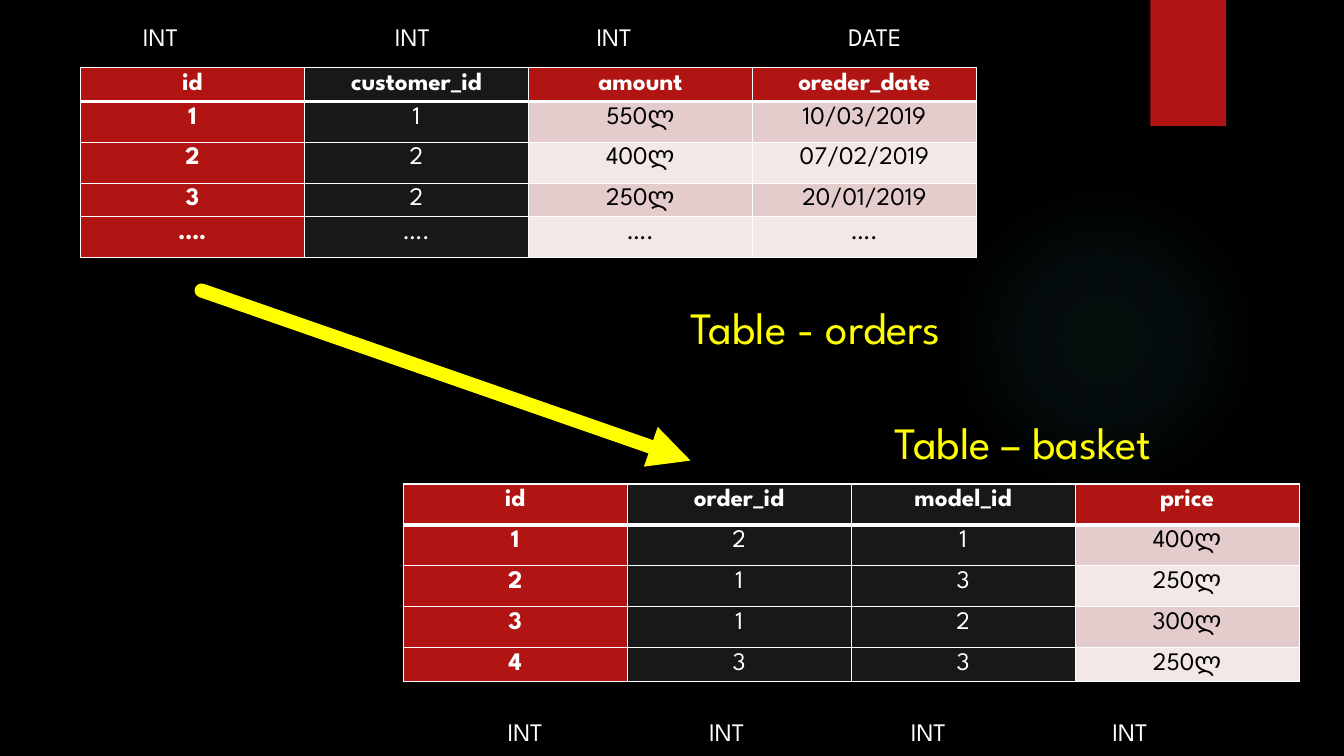
from lxml import etree
from pptx import Presentation
from pptx.dml.color import RGBColor
from pptx.enum.shapes import MSO_CONNECTOR, MSO_SHAPE
from pptx.enum.text import PP_ALIGN
from pptx.oxml import parse_xml
from pptx.oxml.ns import nsdecls, qn
from pptx.util import Pt

COLORS = {
    "background": "000000", "text": "FFFFFF", "dark_text": "000000",
    "accent": "B01513", "key": "181818", "highlight": "FFFF00",
    "odd_band": "E4CCCC", "even_band": "F2E8E7", "glow": "50B9C1",
}
FONT = "League Spartan"
COLUMN_WIDTH = 160
TALL, SHORT = 29.25, 23.9

ORDERS = [
    ["id", "customer_id", "amount", "oreder_date"],
    ["1", "1", "550ლ", "10/03/2019"],
    ["2", "2", "400ლ", "07/02/2019"],
    ["3", "2", "250ლ", "20/01/2019"],
    ["….", "….", "….", "…."],
]
BASKET = [
    ["id", "order_id", "model_id", "price"],
    ["1", "2", "1", "400ლ"],
    ["2", "1", "3", "250ლ"],
    ["3", "1", "2", "300ლ"],
    ["4", "3", "3", "250ლ"],
]


class SlideBuilder:
    def __init__(self, presentation):
        self.slide = presentation.slides.add_slide(presentation.slide_layouts[6])
        fill = self.slide.background.fill
        fill.solid()
        fill.fore_color.rgb = self.color("background")

    def color(self, name):
        return RGBColor.from_string(COLORS[name])

    def add_text_run(self, paragraph, text, color, **formats):
        run = paragraph.add_run()
        run.text = text
        run.font.color.rgb = self.color(color)
        for name, value in ({"name": FONT, "size": Pt(18)} | formats).items():
            setattr(run.font, name, value)

    def shape(self, kind, left, top, width, height, color):
        shape = self.slide.shapes.add_shape(
            kind, Pt(left), Pt(top), Pt(width), Pt(height))
        shape.shadow.inherit = False
        shape.line.fill.background()
        shape.fill.solid()
        shape.fill.fore_color.rgb = self.color(color)
        return shape

    def glow(self, left, top, size):
        shape = self.shape(MSO_SHAPE.OVAL, left, top, size, size, "glow")
        stops = "".join(
            f'<a:gs pos="{position}000"><a:srgbClr val="{COLORS["glow"]}">'
            f'<a:alpha val="{alpha}000"/></a:srgbClr></a:gs>'
            for position, alpha in [(0, 7), (36, 6), (69, 0)])
        gradient = parse_xml(
            f'<a:gradFill {nsdecls("a")}><a:gsLst>{stops}</a:gsLst>'
            '<a:path path="circle"><a:fillToRect l="50000" t="50000" '
            'r="50000" b="50000"/></a:path></a:gradFill>')
        properties = shape._element.spPr
        properties.replace(properties.find(qn("a:solidFill")), gradient)

    def text(self, left, top, width, height, text, color, size=18,
             space_before=0, tabs=()):
        frame = self.slide.shapes.add_textbox(
            Pt(left), Pt(top), Pt(width), Pt(height)).text_frame
        frame.word_wrap = True
        paragraph = frame.paragraphs[0]
        paragraph.space_before = Pt(space_before)
        self.add_text_run(paragraph, text, color, size=Pt(size))
        if tabs:
            tab_list = etree.SubElement(
                paragraph._p.get_or_add_pPr(), qn("a:tabLst"))
            for position in tabs:
                etree.SubElement(tab_list, qn("a:tab"),
                                 pos=str(Pt(position)), algn="l")

    def arrow(self, start, end):
        connector = self.slide.shapes.add_connector(
            MSO_CONNECTOR.STRAIGHT, *map(Pt, start + end))
        connector.line.color.rgb = self.color("highlight")
        connector.line.width = Pt(10)
        line = connector._element.spPr.find(qn("a:ln"))
        line.set("cap", "rnd")
        etree.SubElement(line, qn("a:tailEnd"), type="triangle")
        etree.SubElement(connector._element.spPr, qn("a:effectLst"))

    def border(self, cell, is_header):
        properties = cell._tc.get_or_add_tcPr()
        for index, side in enumerate(("lnL", "lnR", "lnT", "lnB")):
            width = Pt(3 if is_header and side == "lnB" else 1)
            properties.insert(index, parse_xml(
                f'<a:{side} {nsdecls("a")} w="{width}"><a:solidFill>'
                f'<a:srgbClr val="{COLORS["text"]}"/></a:solidFill></a:{side}>'))

    def table(self, left, top, rows, heights):
        columns = len(rows[0])
        table = self.slide.shapes.add_table(
            len(rows), columns, Pt(left), Pt(top),
            Pt(columns * COLUMN_WIDTH), Pt(sum(heights))).table
        for index, height in enumerate(heights):
            table.rows[index].height = Pt(height)
        for row, values in enumerate(rows):
            for column, value in enumerate(values):
                # Foreign keys are dark, the id and headers red, the rest banded
                if rows[0][column].endswith("_id"):
                    fill = "key"
                elif row == 0 or column == 0:
                    fill = "accent"
                else:
                    fill = "odd_band" if row % 2 else "even_band"
                cell = table.cell(row, column)
                cell.fill.solid()
                cell.fill.fore_color.rgb = self.color(fill)
                paragraph = cell.text_frame.paragraphs[0]
                paragraph.alignment = PP_ALIGN.CENTER
                self.add_text_run(
                    paragraph, value,
                    "dark_text" if fill.endswith("band") else "text",
                    bold=row == 0 or column == 0)
                self.border(cell, row == 0)


def main():
    presentation = Presentation()
    presentation.slide_width, presentation.slide_height = Pt(960), Pt(540)
    builder = SlideBuilder(presentation)

    # Backdrop
    builder.glow(677.5, 131.75, 221.75)
    builder.shape(MSO_SHAPE.RECTANGLE, 821.75, 0, 54, 90, "accent")

    # Tables
    builder.table(288, 345.75, BASKET, [TALL] * 4 + [SHORT])
    builder.table(57.5, 48.5, ORDERS, [SHORT, TALL, TALL, SHORT, TALL])

    # Table names and the relation between them
    builder.text(486, 210.25, 244.75, 46, "Table - orders", "highlight",
                 size=32, space_before=9)
    builder.arrow((144, 207.5), (493.25, 329))
    builder.text(632, 292.5, 339, 104.5, "Table – basket", "highlight",
                 size=32, space_before=9)

    # Column types
    builder.text(95, 11.5, 602.5, 29, "INT\tINT\tINT\tDATE", "text",
                 space_before=4.5, tabs=(180, 324, 504))
    builder.text(355.5, 508.25, 525.5, 29, "INT\tINT\tINT\tINT", "text",
                 space_before=4.5, tabs=(144, 288, 432))

    presentation.save("out.pptx")


if __name__ == "__main__":
    main()
